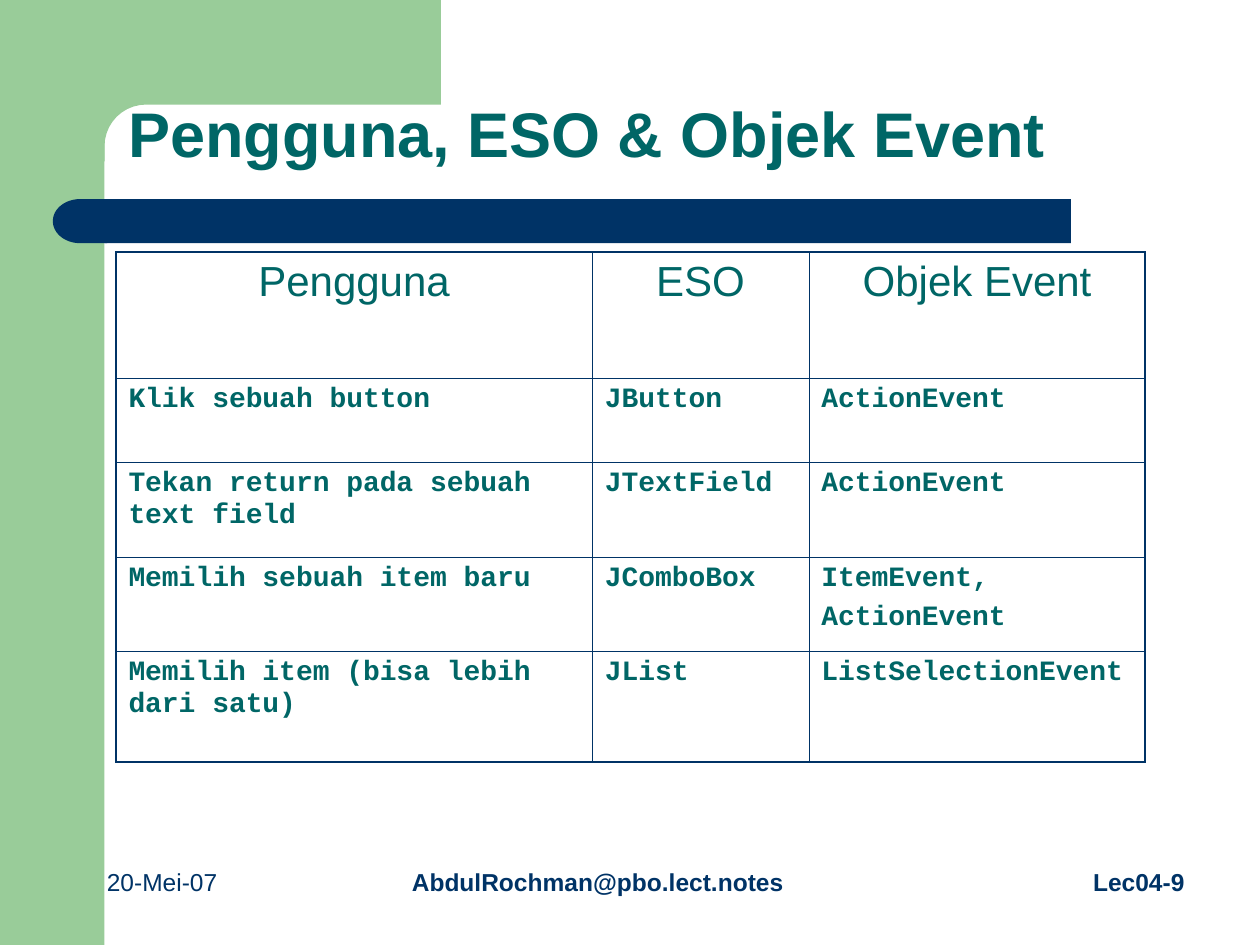
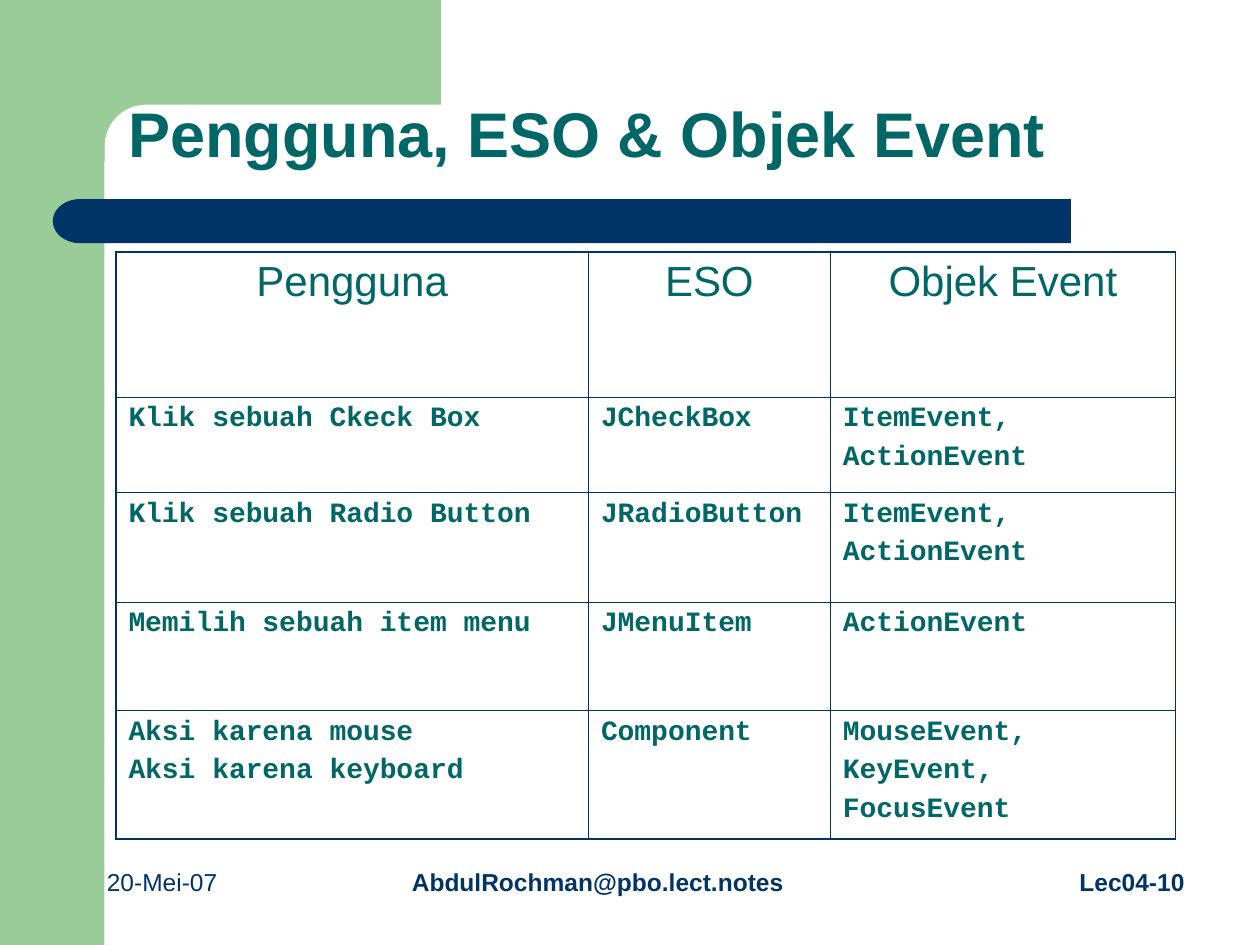
import math
import pptx
import pptx.util
import pptx.dml.color
import pptx.enum.shapes
import pptx.enum.text
import pptx.oxml
import pptx.oxml.ns

Inches, Pt = pptx.util.Inches, pptx.util.Pt
SHAPE = pptx.enum.shapes.MSO_SHAPE
ALIGN = pptx.enum.text.PP_ALIGN
COLOR = {"green": "99CC99", "navy": "003366", "teal": "006666"}
TITLE = "Pengguna, ESO & Objek Event"
HEADS = ("Pengguna", "ESO", "Objek Event")
THICK, THIN = 1.08, 0.45

# Each table row holds its cells; a line break starts a new paragraph
PAGES = [
    {"num": "Lec04-9", "cols": (3.78, 1.72, 2.67),
     "rows": (1, 0.67, 0.75, 0.75, 0.88),
     "cells": [
         HEADS,
         ("Klik sebuah button", "JButton", "ActionEvent"),
         ("Tekan return pada sebuah text field", "JTextField", "ActionEvent"),
         ("Memilih sebuah item baru", "JComboBox", "ItemEvent,\nActionEvent"),
         ("Memilih item (bisa lebih dari satu)", "JList", "ListSelectionEvent")]},
    {"num": "Lec04-10", "cols": (3.75, 1.92, 2.74),
     "rows": (1.15, 0.76, 0.87, 0.86, 1.02),
     "cells": [
         HEADS,
         ("Klik sebuah Ckeck Box", "JCheckBox", "ItemEvent,\nActionEvent"),
         ("Klik sebuah Radio Button", "JRadioButton", "ItemEvent,\nActionEvent"),
         ("Memilih sebuah item menu", "JMenuItem", "ActionEvent"),
         ("Aksi karena mouse\nAksi karena keyboard", "Component",
          "MouseEvent,\nKeyEvent,\nFocusEvent")]},
]


def style(para, size, color, bold=False, face="Arial", align=ALIGN.LEFT):
    para.alignment = align
    font = para.font
    font.name, font.size, font.bold = face, Pt(size), bold
    font.color.rgb = pptx.dml.color.RGBColor.from_string(COLOR[color])


def label(slide, text, left, width, bold=True, align=ALIGN.LEFT):
    box = slide.shapes.add_textbox(Inches(left), Inches(6.83), Inches(width), Inches(0.34))
    box.text_frame.word_wrap = True
    box.text_frame.text = text
    style(box.text_frame.paragraphs[0], 14, "navy", bold, align=align)
    return box


deck = pptx.Presentation()
deck.slide_width, deck.slide_height = Inches(10), Inches(7.5)
layout = deck.slide_layouts[5]
for holder in list(layout.placeholders)[1:]:
    holder.element.getparent().remove(holder.element)
slides = [deck.slides.add_slide(layout) for page in PAGES]

# Shared backdrop: green side and corner, navy bar with a round end
first = slides[0]
decor = []
for kind, color, left, top, width, height in (
        (SHAPE.RECTANGLE, "green", 0, 0, 0.83, 7.5),
        (SHAPE.RECTANGLE, "navy", 0.83, 1.58, 7.67, 0.35),
        (SHAPE.FLOWCHART_DELAY, "navy", 0.42, 1.58, 0.43, 0.35)):
    part = first.shapes.add_shape(kind, Inches(left), Inches(top), Inches(width), Inches(height))
    decor.append((part, color))
part.element.spPr.xfrm.set("flipH", "1")

angles = [math.radians(270 - 9 * step) for step in range(11)]
arc = [(1.16 + 0.33 * math.cos(turn), 1.16 + 0.33 * math.sin(turn)) for turn in angles]
path = first.shapes.build_freeform(Inches(0.5), 0)
path.add_line_segments([(Inches(x), Inches(y)) for x, y in
                        [(3.5, 0), (3.5, 0.83), *arc, (0.83, 1.28), (0.5, 1.28)]])
decor.insert(1, (path.convert_to_shape(), "green"))
for part, color in decor:
    part.shadow.inherit = False
    part.fill.solid()
    part.fill.fore_color.rgb = pptx.dml.color.RGBColor.from_string(COLOR[color])
    part.line.fill.background()

# Backdrop and footers move to the layout, behind its title
shared = [part for part, color in decor]
shared.append(label(first, "AbdulRochman@pbo.lect.notes", 3.17, 3.58))
shared.append(label(first, "20-Mei-07", 0.75, 2.33, bold=False))
tree = layout.shapes.element
for spot, part in enumerate(shared, 2):
    tree.insert(spot, part.element)

for slide, page in zip(slides, PAGES):
    # Title and page number
    title = slide.shapes.title
    title.left, title.top = Inches(0.92), Inches(0.25)
    title.width, title.height = Inches(8.5), Inches(1.16)
    title.text_frame.text = TITLE
    title.text_frame.vertical_anchor = pptx.enum.text.MSO_ANCHOR.BOTTOM
    title.text_frame.auto_size = pptx.enum.text.MSO_AUTO_SIZE.NONE
    style(title.text_frame.paragraphs[0], 36, "teal", True)
    title.text_frame.paragraphs[0].line_spacing = 0.9
    label(slide, page["num"], 7.17, 2.33, align=ALIGN.RIGHT)

    # Table of user actions, sources and events
    cols, rows = page["cols"], page["rows"]
    table = slide.shapes.add_table(len(rows), len(cols), Inches(0.92), Inches(2),
                                   Inches(sum(cols)), Inches(sum(rows))).table
    table.first_row = table.horz_banding = False
    for col, width in zip(table.columns, cols):
        col.width = Inches(width)
    for row, height in zip(table.rows, rows):
        row.height = Inches(height)
    for r, texts in enumerate(page["cells"]):
        for c, text in enumerate(texts):
            cell = table.cell(r, c)
            cell.fill.background()
            cell.text = text
            for n, para in enumerate(cell.text_frame.paragraphs):
                if r == 0:
                    style(para, 24, "teal", align=ALIGN.CENTER)
                else:
                    style(para, 16, "teal", True, "Courier New")
                if n:
                    para.space_before = Pt(4)
            # Thick outer edge, thin inner lines
            edges = {"L": c == 0, "R": c == len(cols) - 1, "T": r == 0, "B": r == len(rows) - 1}
            props = cell._tc.get_or_add_tcPr()
            for spot, (side, outer) in enumerate(edges.items()):
                props.insert(spot, pptx.oxml.parse_xml(
                    f'<a:ln{side} {pptx.oxml.ns.nsdecls("a")} w="{Pt(THICK if outer else THIN)}">'
                    f'<a:solidFill><a:srgbClr val="{COLOR["navy"]}"/></a:solidFill></a:ln{side}>'))

deck.save("out.pptx")
